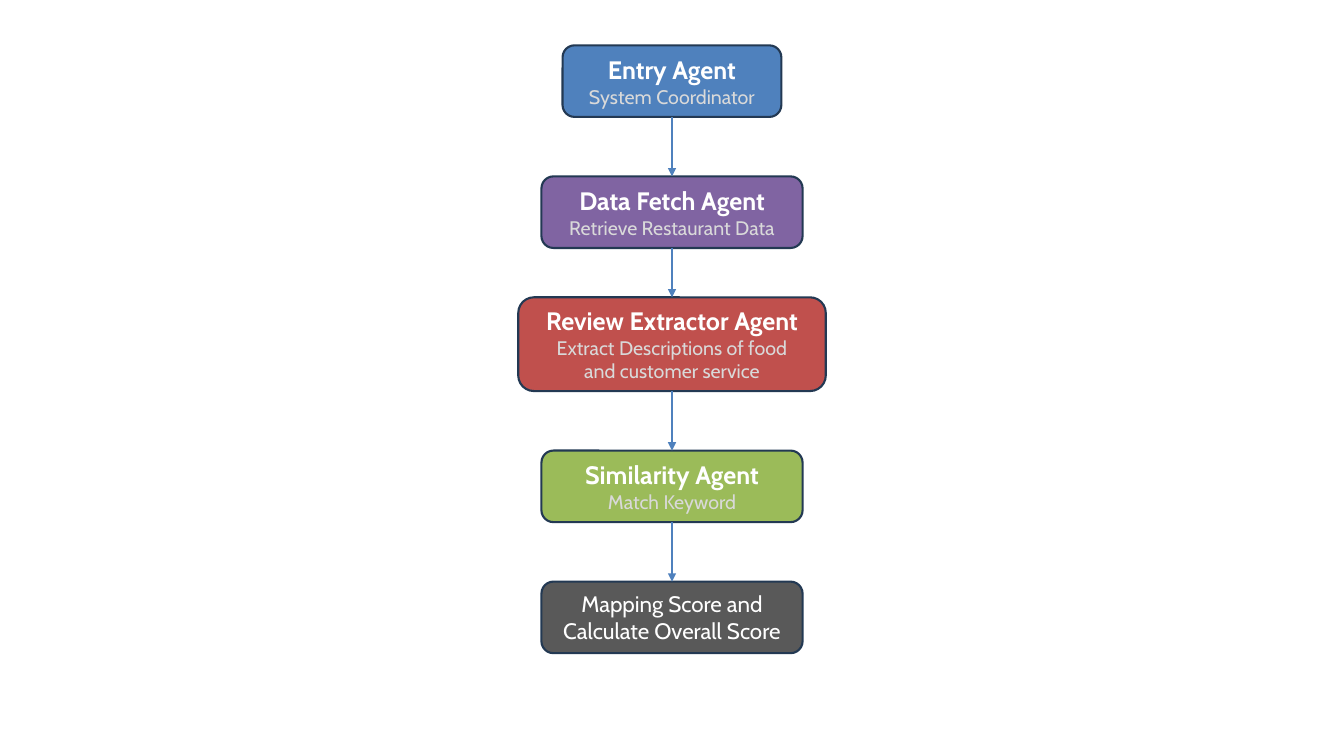
import pptx
import pptx.dml.color
import pptx.enum.shapes
import pptx.enum.text
import pptx.oxml.ns
import pptx.util
from lxml import etree

EMU_PER_PX = 9144  # 100 px to the inch
SLIDE_WIDTH, SLIDE_HEIGHT = 1333, 750
FONT = "Cabin"
WHITE, PALE_GREY = "FFFFFF", "D9D9D9"
OUTLINE, ARROW = "233953", "4F81BD"

# top, width, height, fill, heading, description lines
AGENTS = [
    (45, 217, 71, "4F81BD", "Entry Agent", ["System Coordinator"]),
    (175, 259, 71, "8064A2", "Data Fetch Agent", ["Retrieve Restaurant Data"]),
    (295, 305, 93, "C0504D", "Review Extractor Agent",
     ["Extract Descriptions of food", "and customer service"]),
    (447, 259, 71, "9BBB59", "Similarity Agent", ["Match Keyword"]),
    (577, 259, 71, "595959", "Mapping Score and Calculate Overall Score", []),
]


def px(length):
    return pptx.util.Emu(length * EMU_PER_PX)


def color(hex_string):
    return pptx.dml.color.RGBColor.from_string(hex_string)


def format_paragraph(paragraph, size, hex_string, bold):
    paragraph.alignment = pptx.enum.text.PP_ALIGN.CENTER
    for run in paragraph.runs:
        run.font.name = FONT
        run.font.size = pptx.util.Pt(size)
        run.font.bold = bold
        run.font.color.rgb = color(hex_string)


def add_agent(slide, top, width, height, fill, heading, description):
    """Add a rounded box centred across the slide."""
    agent = slide.shapes.add_shape(
        pptx.enum.shapes.MSO_SHAPE.ROUNDED_RECTANGLE,
        px((SLIDE_WIDTH - width) // 2), px(top), px(width), px(height))
    agent.shadow.inherit = False
    agent.fill.solid()
    agent.fill.fore_color.rgb = color(fill)
    agent.line.color.rgb = color(OUTLINE)
    agent.line.width = pptx.util.Pt(1.5)

    frame = agent.text_frame
    frame.word_wrap = True
    frame.vertical_anchor = pptx.enum.text.MSO_ANCHOR.MIDDLE
    frame.text = "\n".join([heading, *description])
    first, *rest = frame.paragraphs
    has_description = bool(description)
    format_paragraph(first, 18 if has_description else 16, WHITE, has_description)
    for paragraph in rest:
        format_paragraph(paragraph, 14, PALE_GREY, False)
    return agent


def add_arrow(slide, source, target):
    """Join the bottom of one box to the top of the next."""
    arrow = slide.shapes.add_connector(
        pptx.enum.shapes.MSO_CONNECTOR.STRAIGHT, 0, 0, 0, 0)
    arrow.begin_connect(source, 2)
    arrow.end_connect(target, 0)
    arrow.line.color.rgb = color(ARROW)
    arrow.line.width = pptx.util.Pt(1.5)
    qn = pptx.oxml.ns.qn
    properties = arrow.element.spPr
    etree.SubElement(properties.find(qn("a:ln")), qn("a:tailEnd"), type="triangle")
    etree.SubElement(properties, qn("a:effectLst"))


def main():
    presentation = pptx.Presentation()
    presentation.slide_width = px(SLIDE_WIDTH)
    presentation.slide_height = px(SLIDE_HEIGHT)
    slide = presentation.slides.add_slide(presentation.slide_layouts[6])
    agents = [add_agent(slide, *agent) for agent in AGENTS]
    for source, target in zip(agents, agents[1:]):
        add_arrow(slide, source, target)
    presentation.save("out.pptx")


if __name__ == "__main__":
    main()
